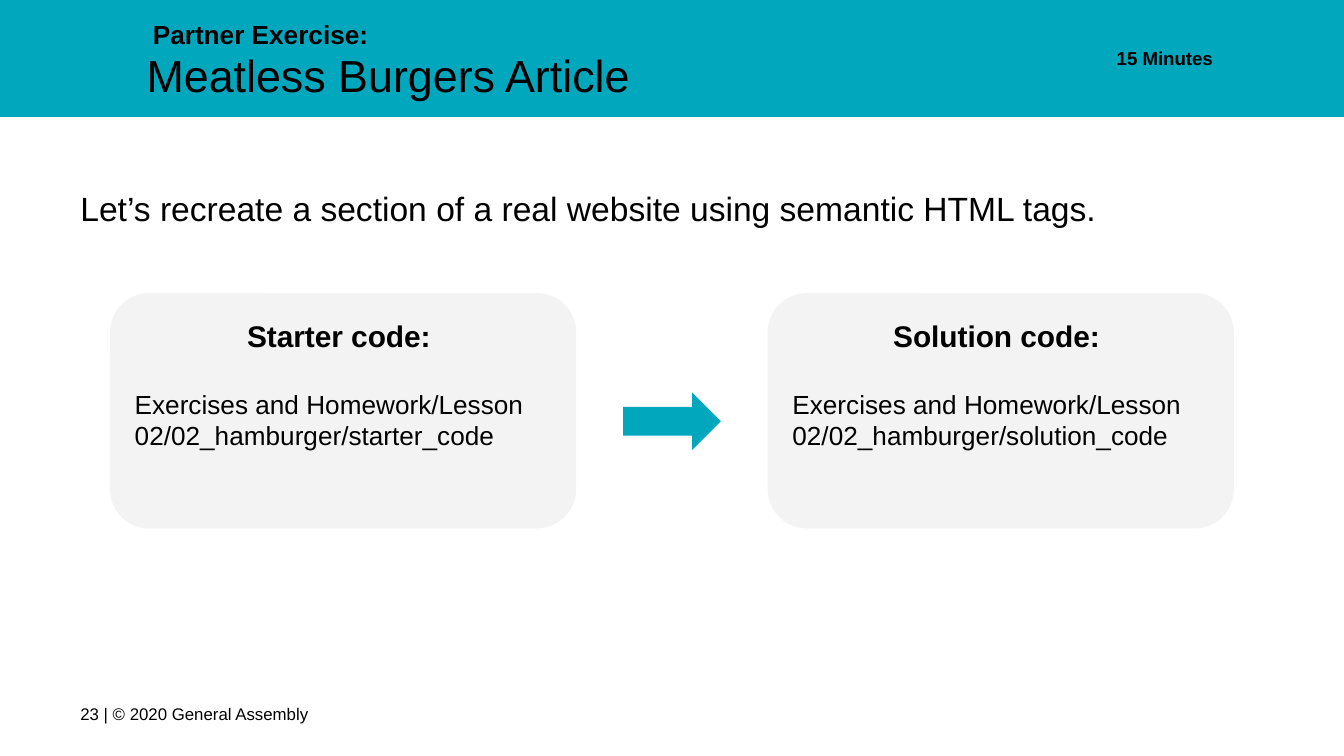
from dataclasses import dataclass
from typing import Optional

from pptx import Presentation
from pptx.dml.color import RGBColor
from pptx.enum.shapes import MSO_SHAPE as Preset
from pptx.enum.text import MSO_ANCHOR as Anchor, PP_ALIGN as Align
from pptx.shapes.autoshape import Shape
from pptx.slide import Slide
from pptx.text.text import TextFrame
from pptx.util import Cm, Pt


@dataclass(frozen=True)
class Theme:
    font: str = "Arial"
    text: RGBColor = RGBColor(0x00, 0x00, 0x00)
    accent: RGBColor = RGBColor(0x00, 0xA7, 0xBD)
    card: RGBColor = RGBColor(0xF3, 0xF3, 0xF3)
    title_size: float = 24
    body_size: float = 18
    heading_size: float = 16
    label_size: float = 14
    timing_size: float = 10
    footer_size: float = 9


@dataclass(frozen=True)
class Box:
    """Position and size in centimetres."""
    left: float
    top: float
    width: float
    height: float

    def lengths(self) -> tuple[Cm, Cm, Cm, Cm]:
        return Cm(self.left), Cm(self.top), Cm(self.width), Cm(self.height)


@dataclass(frozen=True)
class Line:
    text: str
    size: float
    bold: bool = False
    align: Align = Align.LEFT
    spacing: Optional[float] = None
    space_before: float = 0


@dataclass(frozen=True)
class Label:
    box: Box
    line: Line
    anchor: Anchor = Anchor.TOP


@dataclass(frozen=True)
class CodeCard:
    left: float
    heading: str
    location: str


THEME = Theme()
SLIDE_WIDTH, SLIDE_HEIGHT = 25.4, 14.29
INSET = 0.25
CARD_MARGIN, CARD_TOP, CARD_WIDTH, CARD_HEIGHT = 2.08, 5.54, 8.81, 4.45
ARROW_WIDTH, ARROW_HEIGHT = 1.85, 1.09
HEADING_GAP = 18.4

HEADER = Box(0, -0.03, SLIDE_WIDTH, 2.24)
ARROW = Box((SLIDE_WIDTH - ARROW_WIDTH) / 2, 7.42, ARROW_WIDTH, ARROW_HEIGHT)

LABELS = (
    Label(Box(2.64, 0.1, 6.17, 1.27),
          Line("Partner Exercise:", THEME.label_size, bold=True)),
    Label(Box(2.52, 0.66, 13.92, 1.27),
          Line("Meatless Burgers Article", THEME.title_size)),
    Label(Box(19.46, 0.58, 3.71, 0.91),
          Line("15 Minutes", THEME.timing_size, bold=True,
               align=Align.RIGHT, spacing=1.15)),
    Label(Box(1.27, 3.18, 22.86, 2.16),
          Line("Let’s recreate a section of a real website using semantic HTML tags.",
               THEME.body_size, spacing=1.15)),
    Label(Box(1.27, 12.95, 6.58, 1.09),
          Line("23 | © 2020 General Assembly", THEME.footer_size),
          Anchor.MIDDLE),
)

CARDS = (
    CodeCard(CARD_MARGIN, "Starter code: ",
             "Exercises and Homework/Lesson 02/02_hamburger/starter_code"),
    CodeCard(SLIDE_WIDTH - CARD_MARGIN - CARD_WIDTH, "Solution code: ",
             "Exercises and Homework/Lesson 02/02_hamburger/solution_code"),
)


def write_lines(frame: TextFrame, lines: tuple[Line, ...],
                anchor: Anchor = Anchor.TOP) -> None:
    frame.word_wrap = True
    frame.vertical_anchor = anchor
    frame.margin_left = frame.margin_right = Cm(INSET)
    frame.margin_top = frame.margin_bottom = Cm(INSET)
    for index, line in enumerate(lines):
        paragraph = frame.paragraphs[0] if index == 0 else frame.add_paragraph()
        paragraph.alignment = line.align
        if line.spacing:
            paragraph.line_spacing = line.spacing
        if line.space_before:
            paragraph.space_before = Pt(line.space_before)
        run = paragraph.add_run()
        run.text = line.text
        run.font.name = THEME.font
        run.font.size = Pt(line.size)
        run.font.bold = line.bold
        run.font.color.rgb = THEME.text


def draw_shape(slide: Slide, preset: Preset, box: Box, fill: RGBColor) -> Shape:
    shape = slide.shapes.add_shape(preset, *box.lengths())
    shape.shadow.inherit = False
    shape.fill.solid()
    shape.fill.fore_color.rgb = fill
    shape.line.fill.background()
    return shape


def draw_label(slide: Slide, label: Label) -> None:
    text_box = slide.shapes.add_textbox(*label.box.lengths())
    write_lines(text_box.text_frame, (label.line,), label.anchor)


def draw_card(slide: Slide, card: CodeCard) -> None:
    box = Box(card.left, CARD_TOP, CARD_WIDTH, CARD_HEIGHT)
    panel = draw_shape(slide, Preset.ROUNDED_RECTANGLE, box, THEME.card)
    write_lines(panel.text_frame, (
        Line(card.heading, THEME.heading_size, bold=True, align=Align.CENTER),
        Line(card.location, THEME.label_size, space_before=HEADING_GAP),
    ))


def main() -> None:
    deck = Presentation()
    deck.slide_width, deck.slide_height = Cm(SLIDE_WIDTH), Cm(SLIDE_HEIGHT)
    slide = deck.slides.add_slide(deck.slide_layouts[6])
    draw_shape(slide, Preset.RECTANGLE, HEADER, THEME.accent)
    for label in LABELS:
        draw_label(slide, label)
    for card in CARDS:
        draw_card(slide, card)
    draw_shape(slide, Preset.RIGHT_ARROW, ARROW, THEME.accent)
    deck.save("out.pptx")


if __name__ == "__main__":
    main()
